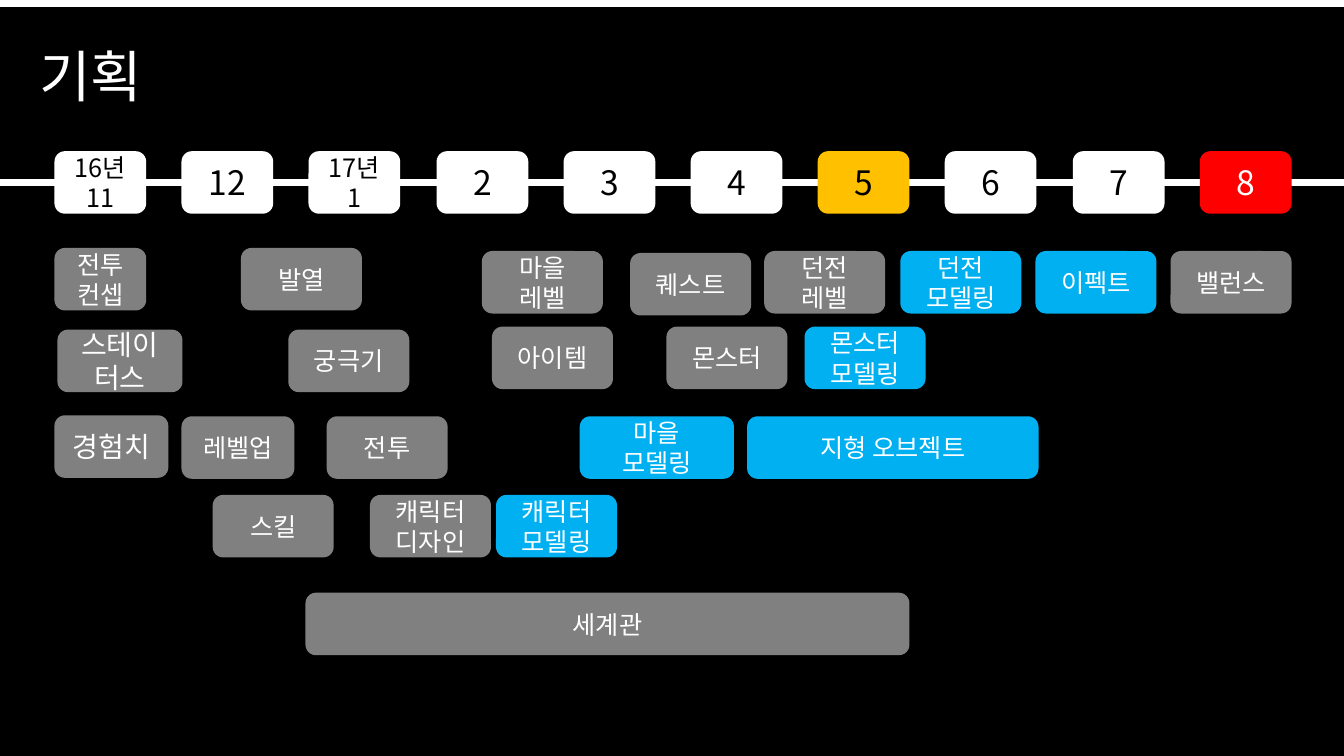
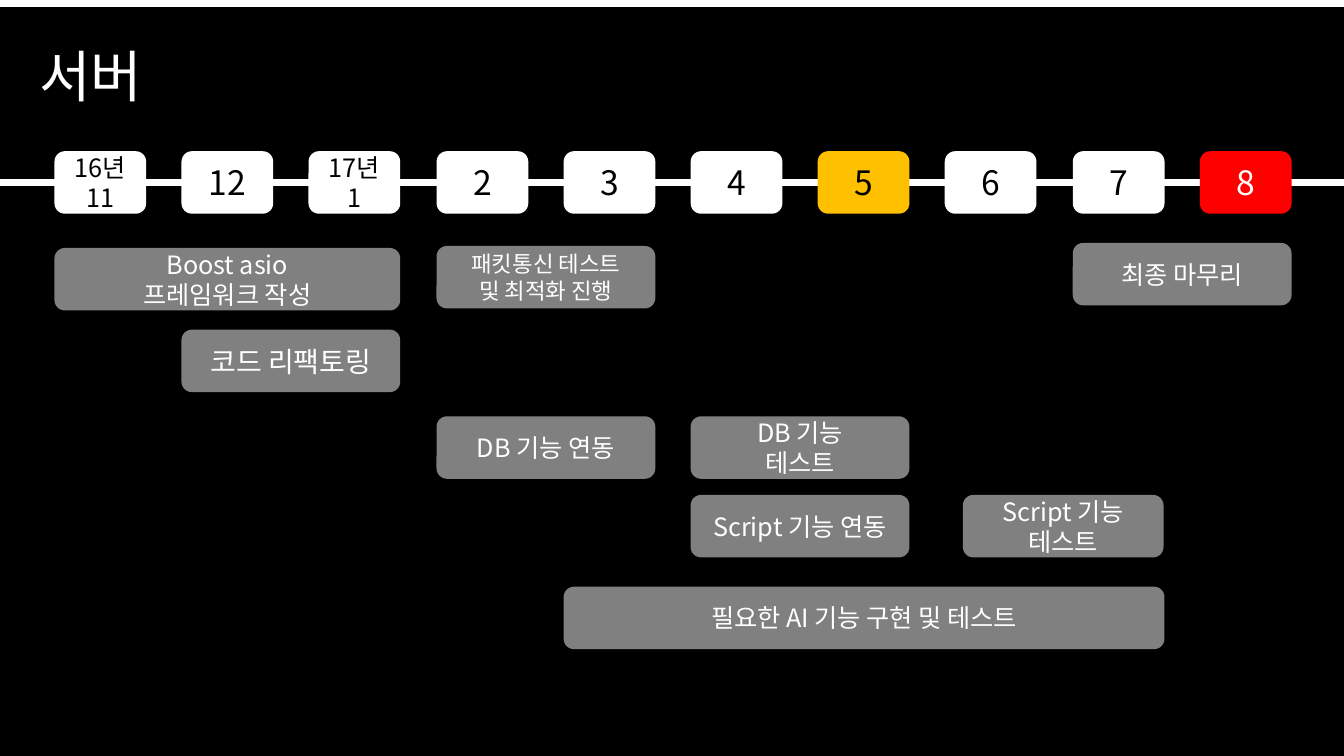
from dataclasses import dataclass

from lxml import etree
from pptx import Presentation
from pptx.dml.color import RGBColor
from pptx.enum.shapes import MSO_CONNECTOR, MSO_SHAPE
from pptx.enum.text import MSO_ANCHOR, MSO_AUTO_SIZE, PP_ALIGN
from pptx.oxml.ns import qn
from pptx.util import Pt

RECTANGLE = MSO_SHAPE.RECTANGLE
ROUNDED = MSO_SHAPE.ROUNDED_RECTANGLE
STRAIGHT = MSO_CONNECTOR.STRAIGHT
MIDDLE = MSO_ANCHOR.MIDDLE
FIT_SHAPE = MSO_AUTO_SIZE.SHAPE_TO_FIT_TEXT
CENTER = PP_ALIGN.CENTER
LEFT = PP_ALIGN.LEFT

PX = 9144  # 100 px to the inch
SLIDE_WIDTH, SLIDE_HEIGHT = 1333, 750


@dataclass(frozen=True)
class Theme:
    font: str = "Noto Sans CJK KR"
    black: str = "000000"
    white: str = "FFFFFF"
    task: str = "808080"
    modeling: str = "00B0F0"
    milestone: str = "FFC000"
    deadline: str = "FF0000"
    title_size: int = 40
    month_size: int = 24
    large_size: int = 20
    body_size: int = 18
    small_size: int = 16


THEME = Theme()


@dataclass(frozen=True)
class Task:
    left: int
    top: int
    width: int
    text: str
    fill: str = THEME.task
    size: int = THEME.body_size


BAND_TOP = 7
AXIS_Y = 181
AXIS_WEIGHT = 5
MONTH_TOP = 150
BOX_HEIGHT = 62
MONTH_WIDTH = 91
MONTH_PITCH = 126.2
TASK_WIDTH = 120

# Label, fill, text colour, text size
MONTHS = [
    ("16년\n11", THEME.white, THEME.black, THEME.body_size),
    ("12", THEME.white, THEME.black, THEME.month_size),
    ("17년\n1", THEME.white, THEME.black, THEME.body_size),
    ("2", THEME.white, THEME.black, THEME.month_size),
    ("3", THEME.white, THEME.black, THEME.month_size),
    ("4", THEME.white, THEME.black, THEME.month_size),
    ("5", THEME.milestone, THEME.black, THEME.month_size),
    ("6", THEME.white, THEME.black, THEME.month_size),
    ("7", THEME.white, THEME.black, THEME.month_size),
    ("8", THEME.deadline, THEME.white, THEME.month_size),
]
MONTH_LEFTS = [round(54 + MONTH_PITCH * index) for index in range(len(MONTHS))]
NOV, DEC, JAN, FEB, MAR, APR, MAY, JUN, JUL, AUG = MONTH_LEFTS
TWO_MONTHS = DEC - NOV + MONTH_WIDTH

PLANNING_TASKS = [
    Task(NOV, 246, MONTH_WIDTH, "전투\n컨셉"),
    Task(239, 246, TASK_WIDTH, "발열"),
    Task(478, 249, TASK_WIDTH, "마을\n레벨"),
    Task(625, 251, TASK_WIDTH, "퀘스트"),
    Task(758, 249, TASK_WIDTH, "던전\n레벨"),
    Task(893, 249, TASK_WIDTH, "던전\n모델링", THEME.modeling),
    Task(1027, 249, TASK_WIDTH, "이펙트", THEME.modeling),
    Task(1161, 249, TASK_WIDTH, "밸런스"),
    Task(57, 327, 124, "스테이터스", size=THEME.large_size),
    Task(286, 327, TASK_WIDTH, "궁극기"),
    Task(488, 324, TASK_WIDTH, "아이템"),
    Task(661, 324, TASK_WIDTH, "몬스터"),
    Task(798, 324, TASK_WIDTH, "몬스터\n모델링", THEME.modeling),
    Task(NOV, 412, 113, "경험치", size=THEME.large_size),
    Task(DEC, 413, 112, "레벨업"),
    Task(324, 413, TASK_WIDTH, "전투"),
    Task(575, 413, 153, "마을\n모델링", THEME.modeling),
    Task(741, 413, 289, "지형 오브젝트", THEME.modeling),
    Task(211, 491, TASK_WIDTH, "스킬"),
    Task(367, 491, TASK_WIDTH, "캐릭터\n디자인"),
    Task(492, 491, TASK_WIDTH, "캐릭터\n모델링", THEME.modeling),
    Task(303, 588, 599, "세계관"),
]

SERVER_TASKS = [
    Task(NOV, 246, JAN - NOV + MONTH_WIDTH, "Boost asio\n프레임워크 작성"),
    Task(FEB, 244, TWO_MONTHS, "패킷통신 테스트\n및 최적화 진행", size=THEME.small_size),
    Task(JUL, 241, TWO_MONTHS, "최종 마무리"),
    Task(DEC, 327, TWO_MONTHS, "코드 리팩토링", size=THEME.large_size),
    Task(FEB, 413, TWO_MONTHS, "DB 기능 연동"),
    Task(APR, 413, TWO_MONTHS, "DB 기능\n테스트"),
    Task(APR, 491, TWO_MONTHS, "Script 기능 연동"),
    Task(955, 491, 199, "Script 기능\n테스트"),
    Task(MAR, 582, JUL - MAR + MONTH_WIDTH, "필요한 AI 기능 구현 및 테스트"),
]


def write_lines(text_frame, text, size, color, alignment):
    """Write each line of the text as a paragraph of one run."""
    for index, line in enumerate(text.split("\n")):
        paragraph = text_frame.add_paragraph() if index else text_frame.paragraphs[0]
        paragraph.alignment = alignment
        run = paragraph.add_run()
        run.text = line
        run.font.size = Pt(size)
        run.font.color.rgb = RGBColor.from_string(color)
        run.font.name = THEME.font
        east_asian = etree.SubElement(run.font._element, qn("a:ea"))
        east_asian.set("typeface", THEME.font)


def add_box(slide, preset, left, top, width, height, fill):
    shape = slide.shapes.add_shape(preset, left * PX, top * PX, width * PX, height * PX)
    shape.shadow.inherit = False
    shape.fill.solid()
    shape.fill.fore_color.rgb = RGBColor.from_string(fill)
    shape.line.fill.background()
    shape.text_frame.word_wrap = True
    shape.text_frame.vertical_anchor = MIDDLE
    return shape


presentation = Presentation()
presentation.slide_width = SLIDE_WIDTH * PX
presentation.slide_height = SLIDE_HEIGHT * PX
blank_layout = presentation.slide_layouts[6]

for title, tasks in [("기획", PLANNING_TASKS), ("서버", SERVER_TASKS)]:
    slide = presentation.slides.add_slide(blank_layout)
    add_box(slide, RECTANGLE, 0, BAND_TOP, SLIDE_WIDTH, SLIDE_HEIGHT - BAND_TOP, THEME.black)

    axis = slide.shapes.add_connector(STRAIGHT, 0, AXIS_Y * PX, SLIDE_WIDTH * PX, AXIS_Y * PX)
    axis.line.color.rgb = RGBColor.from_string(THEME.white)
    axis.line.width = Pt(AXIS_WEIGHT)
    etree.SubElement(axis._element.spPr, qn("a:effectLst"))

    title_box = slide.shapes.add_textbox(29 * PX, 36 * PX, 132 * PX, 77 * PX)
    title_box.text_frame.word_wrap = False
    title_box.text_frame.auto_size = FIT_SHAPE
    write_lines(title_box.text_frame, title, THEME.title_size, THEME.white, LEFT)

    for left, (label, fill, color, size) in zip(MONTH_LEFTS, MONTHS):
        month = add_box(slide, ROUNDED, left, MONTH_TOP, MONTH_WIDTH, BOX_HEIGHT, fill)
        write_lines(month.text_frame, label, size, color, CENTER)

    for task in tasks:
        box = add_box(slide, ROUNDED, task.left, task.top, task.width, BOX_HEIGHT, task.fill)
        write_lines(box.text_frame, task.text, task.size, THEME.white, CENTER)

presentation.save("out.pptx")
